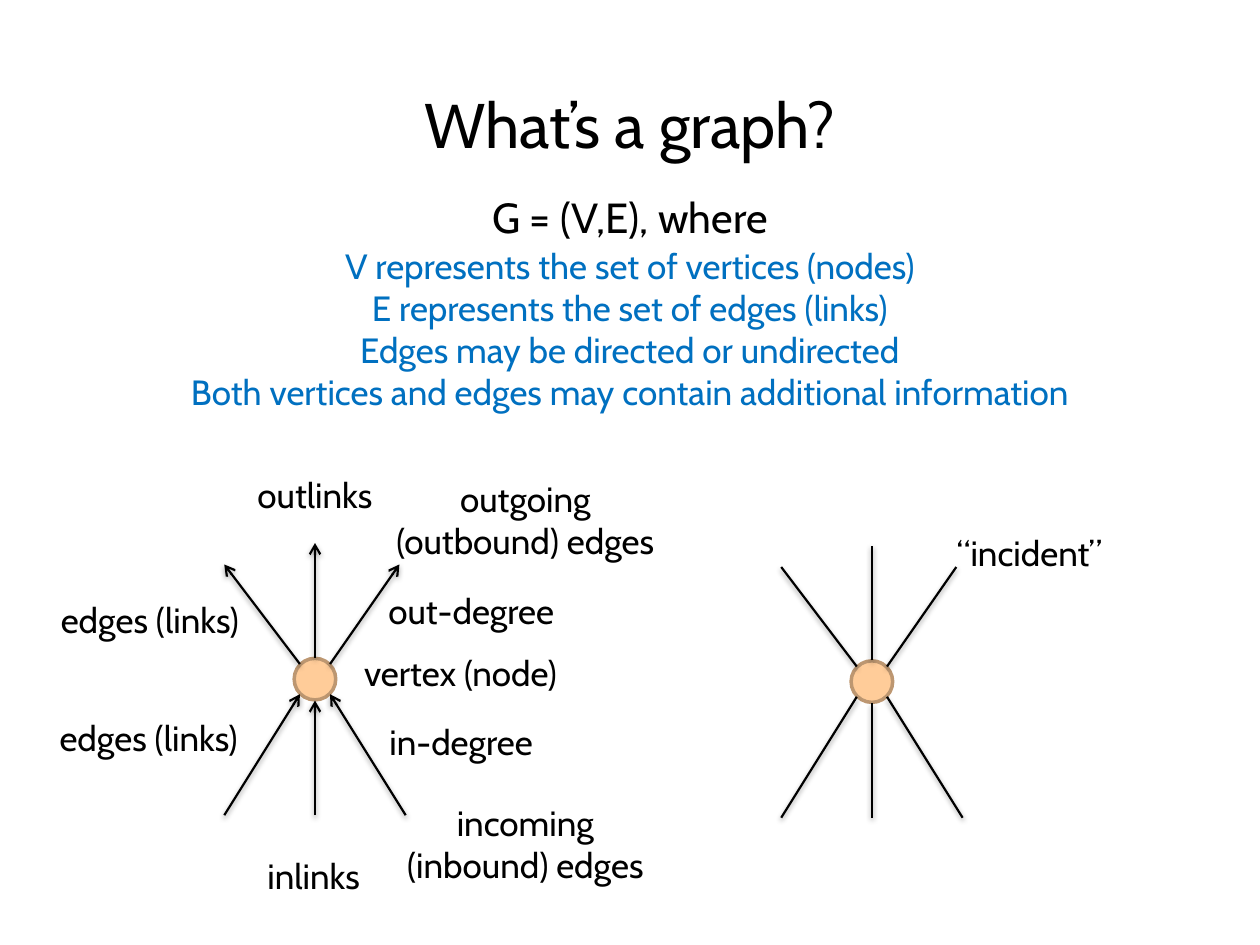
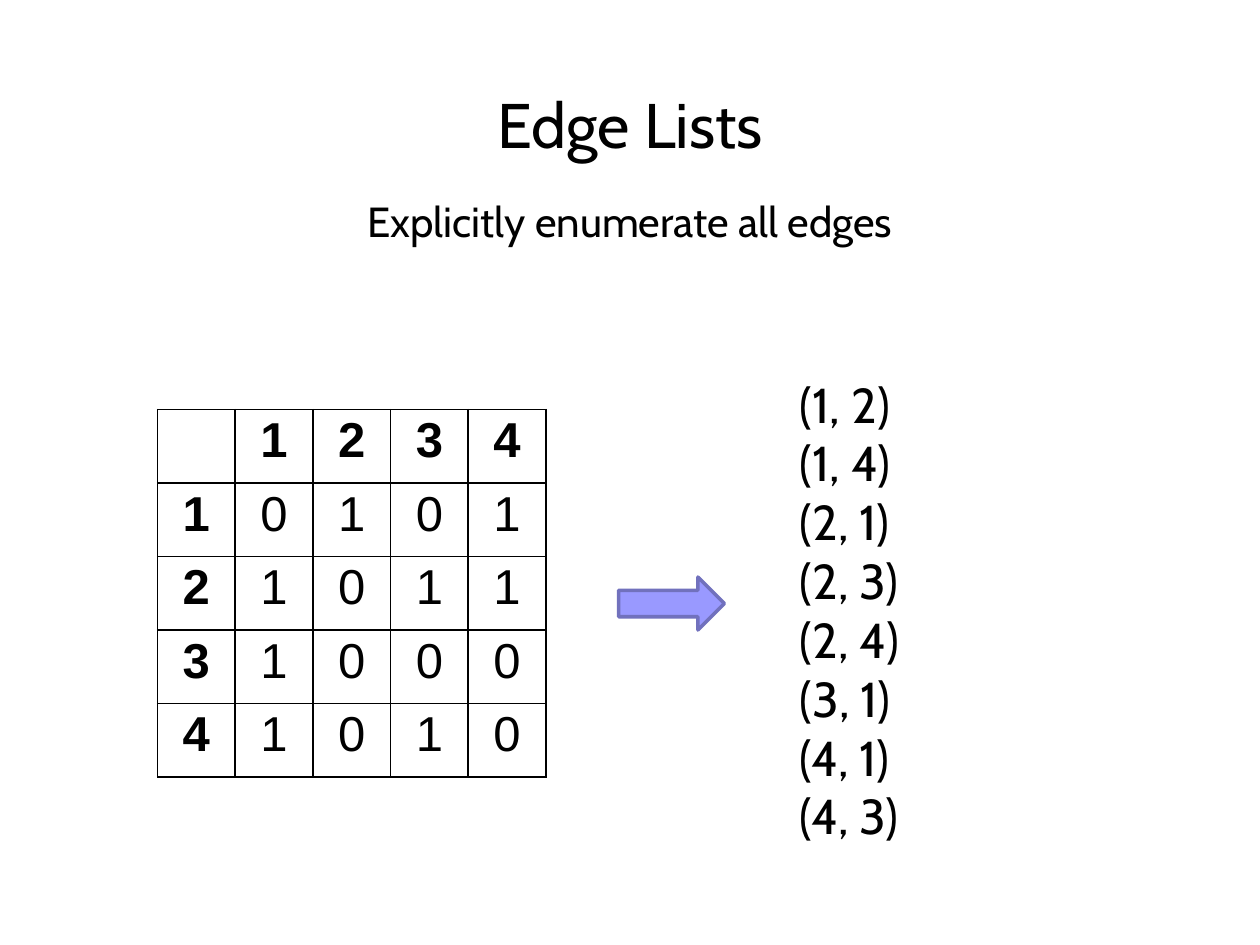
"""Build two slides on graphs: the vocabulary of a graph, and edge lists."""
import lxml.etree
import pptx
import pptx.dml.color
import pptx.enum.shapes
import pptx.enum.text
import pptx.oxml
import pptx.oxml.ns
import pptx.util

BLACK = pptx.dml.color.RGBColor(0x00, 0x00, 0x00)
BLUE = pptx.dml.color.RGBColor(0x00, 0x70, 0xC0)
PEACH = pptx.dml.color.RGBColor(0xFF, 0xCC, 0x99)
TAN = pptx.dml.color.RGBColor(0xBD, 0x97, 0x71)
LILAC = pptx.dml.color.RGBColor(0x99, 0x99, 0xFF)
VIOLET = pptx.dml.color.RGBColor(0x71, 0x71, 0xBD)
FONT = "Cabin"
CENTER = pptx.enum.text.PP_ALIGN.CENTER
LEFT = pptx.enum.text.PP_ALIGN.LEFT
MIDDLE = pptx.enum.text.MSO_ANCHOR.MIDDLE
SHAPE = pptx.enum.shapes.MSO_SHAPE
NS = 'xmlns:a="http://schemas.openxmlformats.org/drawingml/2006/main"'
SHADOW = (
    f'<a:effectLst {NS}><a:outerShdw blurRad="39400" dist="20300" dir="5400000" rotWithShape="0">'
    '<a:srgbClr val="000000"><a:alpha val="38000"/></a:srgbClr></a:outerShdw></a:effectLst>'
)

prs = pptx.Presentation()
prs.slide_width = pptx.util.Inches(10)
prs.slide_height = pptx.util.Inches(7.5)
COL = prs.slide_width / 100
ROW = prs.slide_height / 75


def add_text(s, x, y, w, h, lines, size, color=BLACK, align=CENTER, wrap=True):
    """Add a text box placed in grid columns and rows, one paragraph a line."""
    box = s.shapes.add_textbox(int(x * COL), int(y * ROW), int(w * COL), int(h * ROW))
    tf = box.text_frame
    tf.word_wrap = wrap
    tf.text = "\n".join(lines)
    for p in tf.paragraphs:
        p.alignment = align
        p.font.name = FONT
        p.font.size = pptx.util.Pt(size)
        p.font.color.rgb = color
    return tf


def add_shape(s, kind, x, y, w, h, fill, line):
    """Add an outlined preset shape placed in grid columns and rows."""
    sp = s.shapes.add_shape(kind, int(x * COL), int(y * ROW), int(w * COL), int(h * ROW))
    sp.shadow.inherit = False
    sp.fill.solid()
    sp.fill.fore_color.rgb = fill
    sp.line.color.rgb = line
    sp.line.width = pptx.util.Pt(2)


slides = []
for title, subtitle, top in [
    ("What’s a graph?", "G = (V,E), where", 14.7),
    ("Edge Lists", "Explicitly enumerate all edges", 15),
]:
    s = prs.slides.add_slide(prs.slide_layouts[6])
    add_text(s, 0, 6, 100, 7.5, [title], 36).vertical_anchor = MIDDLE
    add_text(s, 0, top, 100, 5, [subtitle], 24)
    slides.append(s)
graph_slide, list_slide = slides

definitions = [
    "V represents the set of vertices (nodes)",
    "E represents the set of edges (links)",
    "Edges may be directed or undirected",
    "Both vertices and edges may contain additional information",
]
add_text(graph_slide, 0, 18.9, 100, 14.5, definitions, 20, BLUE)

NODE = 3.3
SPOKES = [
    (0, -1.7, 0, -10.8),
    (1.2, -1.2, 6.7, -9.1),
    (-1.2, -1.2, -7.2, -9.1),
    (0, 10.8, 0, 1.7),
    (7.2, 10.8, 1.2, 1.2),
    (-7.2, 10.8, -1.2, 1.2),
]
for cx, cy, directed in [(25, 53.9, True), (69.2, 54.1, False)]:
    add_shape(graph_slide, SHAPE.OVAL, cx - NODE / 2, cy - NODE / 2, NODE, NODE, PEACH, TAN)
    for x1, y1, x2, y2 in SPOKES:
        edge = graph_slide.shapes.add_connector(
            pptx.enum.shapes.MSO_CONNECTOR.STRAIGHT,
            int((cx + x1) * COL), int((cy + y1) * ROW),
            int((cx + x2) * COL), int((cy + y2) * ROW),
        )
        edge.line.color.rgb = BLACK
        edge.line.width = pptx.util.Pt(1.25)
        if directed:
            ln = edge.line._get_or_add_ln()
            lxml.etree.SubElement(ln, pptx.oxml.ns.qn("a:tailEnd"), type="arrow")
        edge._element.spPr.append(pptx.oxml.parse_xml(SHADOW))

for label, x, y, w, h in [
    ("vertex (node)", 27.4, 51.2, 18.3, 4.4),
    ("edges (links)", 3.4, 47, 17, 4.4),
    ("edges (links)", 3.3, 56.4, 17, 4.4),
    ("outgoing (outbound) edges", 30, 37.4, 23.4, 7.7),
    ("incoming (inbound) edges", 30, 63.1, 23.4, 7.7),
    ("out-degree", 25.7, 46.3, 23.4, 4.4),
    ("in-degree", 24.9, 56.7, 23.4, 4.4),
    ("“incident”", 70, 41.7, 23.4, 4.4),
    ("outlinks", 13.3, 37.1, 23.4, 4.4),
    ("inlinks", 13.2, 67.3, 23.4, 4.4),
]:
    add_text(graph_slide, x, y, w, h, [label], 20)

matrix = [[0, 1, 0, 1], [1, 0, 1, 1], [1, 0, 0, 0], [1, 0, 1, 0]]
edges = ["(1, 2)", "(1, 4)", "(2, 1)", "(2, 3)", "(2, 4)", "(3, 1)", "(4, 1)", "(4, 3)"]
add_text(list_slide, 62.5, 29.2, 10, 38.7, edges, 28, align=LEFT, wrap=False)
add_shape(list_slide, SHAPE.RIGHT_ARROW, 49.1, 45.8, 8.4, 4.2, LILAC, VIOLET)

rows = [["", 1, 2, 3, 4]] + [[i, *values] for i, values in enumerate(matrix, 1)]
n = len(rows)
table = list_slide.shapes.add_table(
    n, n, int(12.5 * COL), int(32.5 * ROW), int(30.83 * COL), int(29.17 * ROW)
).table
table.first_row = False
table.horz_banding = False
for i, row in enumerate(rows):
    for j, value in enumerate(row):
        cell = table.cell(i, j)
        cell.vertical_anchor = MIDDLE
        cell.text = str(value)
        p = cell.text_frame.paragraphs[0]
        p.alignment = CENTER
        p.line_spacing = 0.71
        p.font.name = "Arial"
        p.font.size = pptx.util.Pt(28)
        p.font.bold = i == 0 or j == 0
        p.font.color.rgb = BLACK
        tcPr = cell._tc.get_or_add_tcPr()
        for side in ("lnL", "lnR", "lnT", "lnB"):
            tcPr.append(pptx.oxml.parse_xml(
                f'<a:{side} {NS} w="12700"><a:solidFill><a:srgbClr val="{BLACK}"/></a:solidFill></a:{side}>'
            ))
        cell.fill.background()

prs.save("out.pptx")
